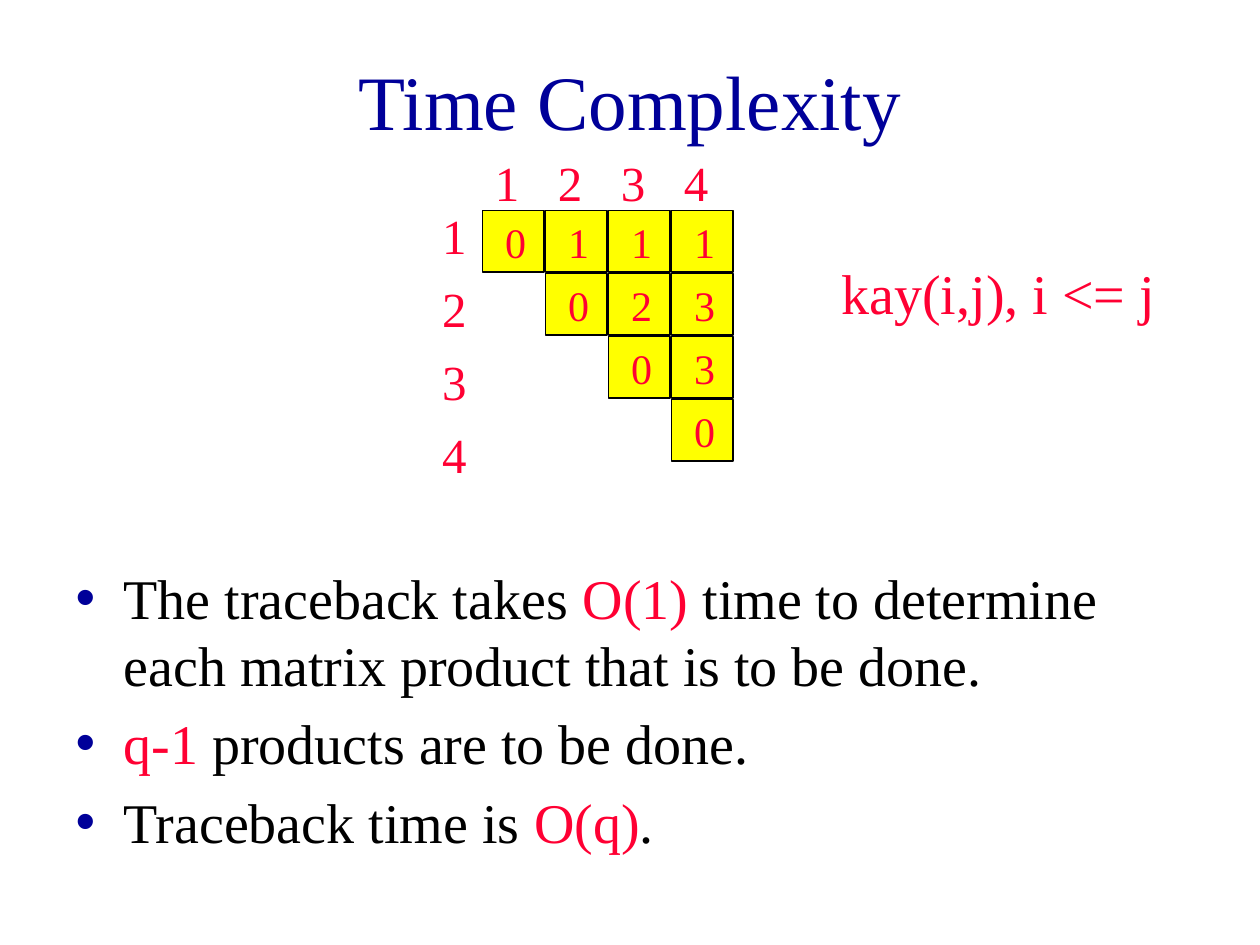
from dataclasses import dataclass

from lxml.etree import SubElement
from pptx import Presentation
from pptx.dml.color import RGBColor
from pptx.enum.shapes import MSO_SHAPE as Preset
from pptx.enum.text import MSO_ANCHOR as Anchor, MSO_AUTO_SIZE as AutoSize, PP_ALIGN as Align
from pptx.oxml.ns import qn
from pptx.slide import Slide
from pptx.util import Inches, Pt

FONT = "Times New Roman"
COLORS = {"title": "000099", "accent": "FF0033", "text": "000000", "cell": "FFFF00"}

# Upper triangle of the kay matrix, one row per i
KAY = [[0, 1, 1, 1], [0, 2, 3], [0, 3], [0]]
GRID_LEFT, GRID_TOP, PITCH, CELL = 3.83, 1.67, 0.5, 0.49
ROW_LABEL_TOP, ROW_LABEL_PITCH = 1.58, 0.58

# Each bullet is a list of (wording, colour name)
BULLETS = [
    [("The traceback takes ", "text"), ("O(1) ", "accent"),
     ("time to determine each matrix product that is to be done.", "text")],
    [("q-1 ", "accent"), ("products are to be done.", "text")],
    [("Traceback time is ", "text"), ("O(q)", "accent"), (".", "text")],
]


@dataclass
class Label:
    text: str
    left: float
    top: float
    size: int = 28
    width: float = 0.25
    height: float = 0.57


def color(name: str) -> RGBColor:
    return RGBColor.from_string(COLORS[name])


def place(shape, left: float, top: float, width: float, height: float) -> None:
    shape.left, shape.top = Inches(left), Inches(top)
    shape.width, shape.height = Inches(width), Inches(height)


def format_font(font, size: int, color_name: str) -> None:
    font.name, font.size = FONT, Pt(size)
    font.color.rgb = color(color_name)


def add_label(slide: Slide, label: Label) -> None:
    box = slide.shapes.add_textbox(Inches(label.left), Inches(label.top),
                                   Inches(label.width), Inches(label.height))
    frame = box.text_frame
    frame.text = label.text
    frame.word_wrap = True
    frame.auto_size = AutoSize.SHAPE_TO_FIT_TEXT
    format_font(frame.paragraphs[0].runs[0].font, label.size, "accent")


def add_cell(slide: Slide, row: int, column: int, value: int) -> None:
    left, top = GRID_LEFT + column * PITCH, GRID_TOP + row * PITCH
    cell = slide.shapes.add_shape(Preset.RECTANGLE, Inches(left), Inches(top),
                                  Inches(CELL), Inches(CELL))
    cell.shadow.inherit = False
    cell.fill.solid()
    cell.fill.fore_color.rgb = color("cell")
    cell.line.color.rgb = color("text")
    cell.line.width = Pt(1)
    add_label(slide, Label(str(value), left + 0.08, top, size=24, height=0.5))


def add_bullet(paragraph) -> None:
    properties = paragraph._p.get_or_add_pPr()
    properties.set("marL", str(Inches(0.38)))
    properties.set("indent", str(-Inches(0.38)))
    bullet_color = SubElement(properties, qn("a:buClr"))
    SubElement(bullet_color, qn("a:srgbClr"), val=COLORS["title"])
    SubElement(properties, qn("a:buChar"), char="•")


def fill_title(slide: Slide) -> None:
    title = slide.shapes.title
    place(title, 0.75, 0.17, 8.5, 1.25)
    frame = title.text_frame
    frame.text = "Time Complexity"
    frame.vertical_anchor = Anchor.MIDDLE
    paragraph = frame.paragraphs[0]
    paragraph.alignment = Align.CENTER
    format_font(paragraph.runs[0].font, 44, "title")


def fill_body(slide: Slide) -> None:
    body = slide.placeholders[1]
    place(body, 0.5, 4.42, 9.17, 2.5)
    frame = body.text_frame
    frame.auto_size = AutoSize.NONE
    for index, parts in enumerate(BULLETS):
        paragraph = frame.paragraphs[0] if index == 0 else frame.add_paragraph()
        add_bullet(paragraph)
        paragraph.space_before = Pt(6.4 if index else 0)
        for wording, color_name in parts:
            run = paragraph.add_run()
            run.text = wording
            format_font(run.font, 32, color_name)


def main() -> None:
    presentation = Presentation()
    presentation.slide_width, presentation.slide_height = Inches(10), Inches(7.5)
    slide = presentation.slides.add_slide(presentation.slide_layouts[1])
    fill_title(slide)
    fill_body(slide)

    # Column and row numbers, and the caption
    for index in range(len(KAY)):
        number = str(index + 1)
        add_label(slide, Label(number, GRID_LEFT + index * PITCH, 1.16))
        add_label(slide, Label(number, 3.41, ROW_LABEL_TOP + index * ROW_LABEL_PITCH))
    add_label(slide, Label("kay(i,j), i <= j", 6.58, 2, size=32, width=2.92, height=0.63))

    # Matrix cells, starting on the diagonal
    for row, values in enumerate(KAY):
        for column, value in enumerate(values, start=row):
            add_cell(slide, row, column, value)

    presentation.save("out.pptx")


if __name__ == "__main__":
    main()
